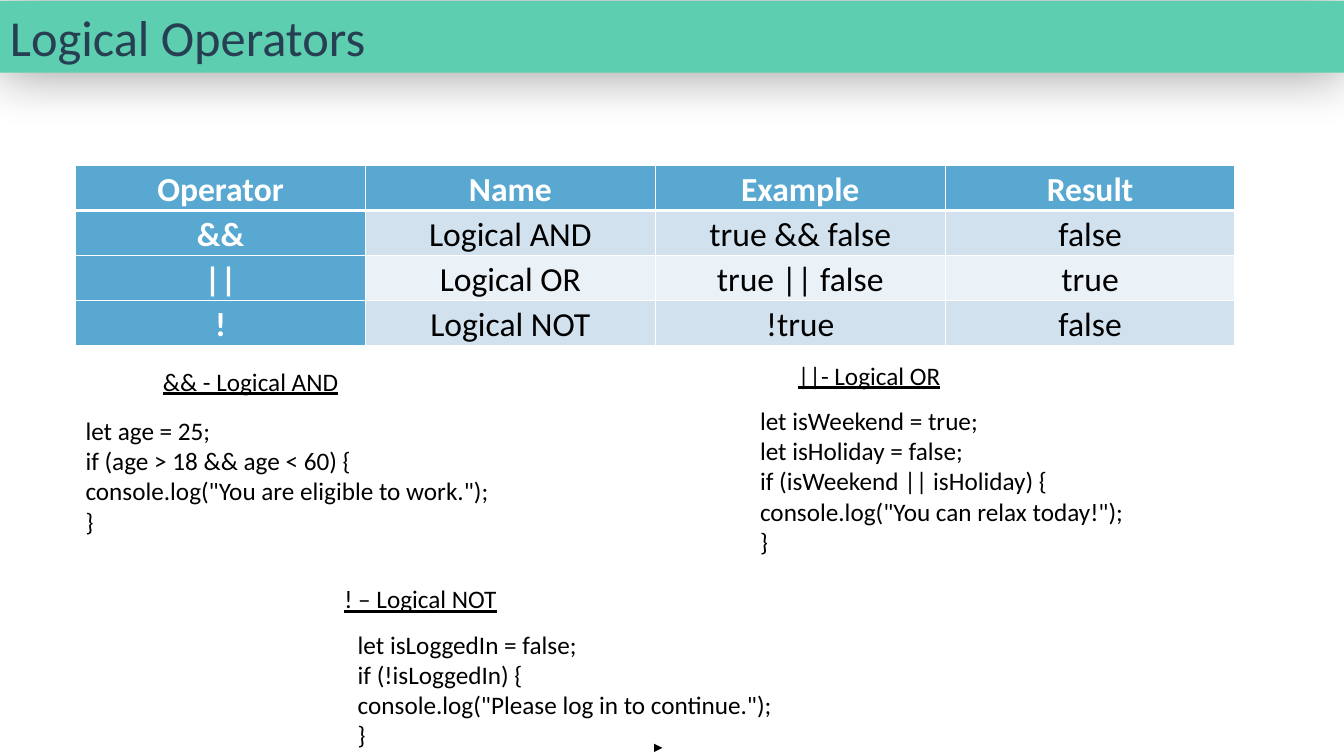
from lxml import etree
from pptx import Presentation
from pptx.dml.color import RGBColor
from pptx.enum.shapes import MSO_CONNECTOR, MSO_SHAPE
from pptx.enum.text import MSO_ANCHOR, MSO_AUTO_SIZE, PP_ALIGN
from pptx.oxml.ns import qn
from pptx.util import Inches, Pt

CENTER, LEFT = PP_ALIGN.CENTER, PP_ALIGN.LEFT
MIDDLE = MSO_ANCHOR.MIDDLE
FIT_SHAPE = MSO_AUTO_SIZE.SHAPE_TO_FIT_TEXT
RECT, STRAIGHT = MSO_SHAPE.RECTANGLE, MSO_CONNECTOR.STRAIGHT

COLORS = {"banner": "5DCEAF", "title": "273F52", "head": "59A8D1",
          "band": "D1E1EE", "light": "EAF1F7", "white": "FFFFFF", "black": "000000"}

OPERATORS = [
    ["Operator", "Name", "Example", "Result"],
    ["&&", "Logical AND", "true && false", "false"],
    ["||", "Logical OR", "true || false", "true"],
    ["!", "Logical NOT", "!true", "false"],
]

# Heading, its box, code lines, their box
EXAMPLES = [
    ("&& - Logical AND", (-1.38, 3.56, 7.73, 0.41),
     ["let age = 25;", "if (age > 18 && age < 60) {",
      'console.log("You are eligible to work.");', "}"],
     (0.75, 4.07, 4.66, 1.31)),
    ("||- Logical OR", (4.58, 3.5, 8.08, 0.41),
     ["let isWeekend = true;", "let isHoliday = false;",
      "if (isWeekend || isHoliday) {",
      'console.log("You can relax today!");', "}"],
     (7.44, 3.97, 7.34, 1.62)),
    ("! – Logical NOT", (0.13, 5.72, 8.08, 0.41),
     ["let isLoggedIn = false;", "if (!isLoggedIn) {",
      'console.log("Please log in to continue.");', "}"],
     (3.45, 6.19, 7.34, 1.31)),
]


def rgb(name):
    return RGBColor.from_string(COLORS[name])


def add_color(parent, name):
    fill = etree.SubElement(parent, qn("a:solidFill"))
    return etree.SubElement(fill, qn("a:srgbClr"), val=COLORS[name])


def write(tf, lines, color="black", align=LEFT, spacing=None, **font):
    tf.word_wrap = True
    formats = {"name": "Calibri", "size": Pt(18), **font}
    for i, line in enumerate(lines):
        p = tf.paragraphs[0] if i == 0 else tf.add_paragraph()
        p.alignment = align
        p.line_spacing = spacing
        r = p.add_run()
        r.text = line
        for key, value in formats.items():
            setattr(r.font, key, value)
        r.font.color.rgb = rgb(color)


def add_text(s, box, lines, **style):
    tf = s.shapes.add_textbox(*map(Inches, box)).text_frame
    write(tf, lines, **style)
    tf.auto_size = FIT_SHAPE


def add_banner(s, title):
    sp = s.shapes.add_shape(RECT, 0, Inches(0.01), Inches(13.33), Inches(0.71))
    sp.shadow.inherit = False
    sp.fill.solid()
    sp.fill.fore_color.rgb = rgb("banner")
    sp.line.fill.background()
    # Soft shadow under the banner
    effects = sp._element.spPr.find(qn("a:effectLst"))
    shadow = etree.SubElement(effects, qn("a:outerShdw"), blurRad=str(Pt(39)),
                              dist="0", dir="0", rotWithShape="0")
    shade = etree.SubElement(shadow, qn("a:srgbClr"), val=COLORS["black"])
    etree.SubElement(shade, qn("a:alpha"), val="40000")
    sp.text_frame.vertical_anchor = MSO_ANCHOR.TOP
    write(sp.text_frame, [title], color="title", size=Pt(36))
    sp.text_frame.auto_size = FIT_SHAPE


def add_arrow(s, x1, y1, x2, y2):
    line = s.shapes.add_connector(STRAIGHT, *map(Inches, (x1, y1, x2, y2)))
    line.line.color.rgb = rgb("black")
    line.line.width = Pt(1.5)
    etree.SubElement(line.line._get_or_add_ln(), qn("a:tailEnd"), type="triangle")
    etree.SubElement(line._element.spPr, qn("a:effectLst"))


def set_borders(cell, widths):
    tcPr = cell._tc.get_or_add_tcPr()
    for i, (side, width) in enumerate(widths.items()):
        ln = etree.Element(qn(f"a:ln{side}"), w=str(Pt(width)))
        add_color(ln, "white")
        tcPr.insert(i, ln)


def add_operator_table(s, box, rows):
    frame = s.shapes.add_table(len(rows), len(rows[0]), *map(Inches, box))
    for i, row in enumerate(rows):
        for j, text in enumerate(row):
            cell = frame.table.cell(i, j)
            is_head = i == 0 or j == 0
            cell.fill.solid()
            cell.fill.fore_color.rgb = rgb("head" if is_head else "band" if i % 2 else "light")
            cell.vertical_anchor = MIDDLE
            for side in ("left", "right", "top", "bottom"):
                setattr(cell, f"margin_{side}", Inches(0.01))
            set_borders(cell, {"L": 1, "R": 1, "T": 3 if i == 1 else 1, "B": 3 if i == 0 else 1})
            write(cell.text_frame, [text], color="white" if is_head else "black",
                  align=CENTER, spacing=1.07, size=Pt(24), bold=is_head)


def main():
    prs = Presentation()
    prs.slide_width, prs.slide_height = Inches(13.33), Inches(7.5)
    s = prs.slides.add_slide(prs.slide_layouts[6])

    # Title banner and small arrow
    add_banner(s, "Logical Operators")
    add_arrow(s, 6.5, 7.42, 6.57, 7.42)

    # Operator overview
    add_operator_table(s, (0.75, 1.64, 11.5, 1.72), OPERATORS)

    # Code examples with headings
    for heading, heading_box, code, code_box in EXAMPLES:
        add_text(s, code_box, code)
        add_text(s, heading_box, [heading], align=CENTER, spacing=1.07, underline=True)

    prs.save("out.pptx")


if __name__ == "__main__":
    main()
